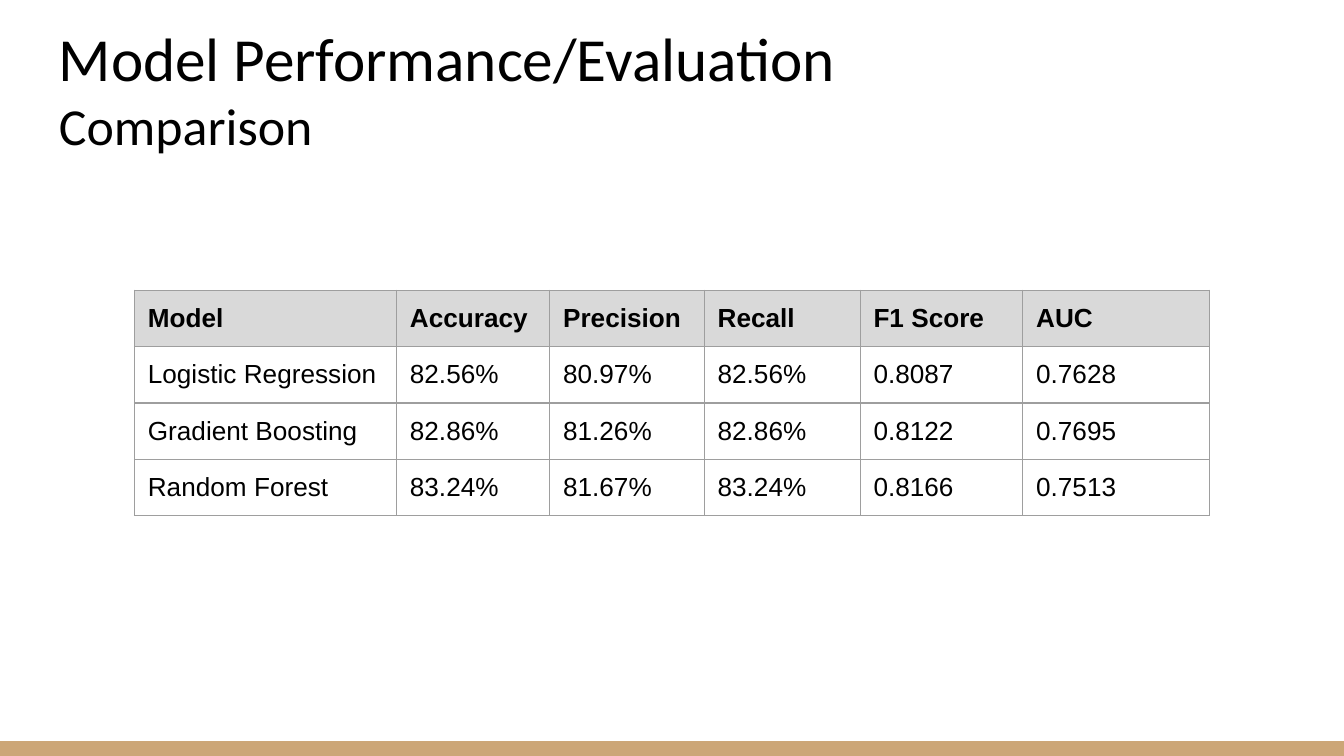
from typing import NamedTuple

from lxml.etree import SubElement
from pptx import Presentation
from pptx.dml.color import RGBColor
from pptx.enum.shapes import MSO_SHAPE as Shape
from pptx.enum.text import MSO_ANCHOR as Anchor
from pptx.oxml.ns import qn
from pptx.util import Inches, Pt

COLORS = {
    "text": "000000",
    "footer": "CCA677",
    "header": "D9D9D9",
    "border": "9E9E9E",
}
SLIDE_WIDTH = Inches(10)
SLIDE_HEIGHT = SLIDE_WIDTH * 9 // 16
FOOTER_HEIGHT = Inches(0.11)
INSET = Inches(0.1)
ROW_HEIGHT = Inches(0.42)
BORDER_WIDTH = Pt(0.75)


class TextStyle(NamedTuple):
    font: str
    size: float
    bold: bool = False


class Column(NamedTuple):
    heading: str
    width: float
    values: tuple[str, ...]


TITLE_LINES = (
    ("Model Performance/Evaluation", TextStyle("Calibri", 32.8)),
    ("Comparison", TextStyle("Calibri", 27.8)),
)
HEADER_STYLE = TextStyle("Arial", 14, bold=True)
BODY_STYLE = TextStyle("Arial", 14)
COLUMNS = (
    Column("Model", 1.95, ("Logistic Regression", "Gradient Boosting", "Random Forest")),
    Column("Accuracy", 1.14, ("82.56%", "82.86%", "83.24%")),
    Column("Precision", 1.15, ("80.97%", "81.26%", "81.67%")),
    Column("Recall", 1.16, ("82.56%", "82.86%", "83.24%")),
    Column("F1 Score", 1.21, ("0.8087", "0.8122", "0.8166")),
    Column("AUC", 1.39, ("0.7628", "0.7695", "0.7513")),
)


def color(name: str) -> RGBColor:
    return RGBColor.from_string(COLORS[name])


def add_run(paragraph, text: str, style: TextStyle) -> None:
    run = paragraph.add_run()
    run.text = text
    run.font.name = style.font
    run.font.size = Pt(style.size)
    run.font.bold = style.bold
    run.font.color.rgb = color("text")


def set_insets(target, bottom: int = INSET) -> None:
    target.margin_left = target.margin_right = target.margin_top = INSET
    target.margin_bottom = bottom


def add_footer(slide) -> None:
    bar = slide.shapes.add_shape(
        Shape.RECTANGLE, 0, SLIDE_HEIGHT - FOOTER_HEIGHT, SLIDE_WIDTH, FOOTER_HEIGHT)
    bar.shadow.inherit = False
    bar.fill.solid()
    bar.fill.fore_color.rgb = color("footer")
    bar.line.fill.background()


def add_title(slide) -> None:
    box = slide.shapes.add_textbox(
        Inches(0.34), Inches(0.35), Inches(9.32), Inches(0.91))
    frame = box.text_frame
    frame.word_wrap = True
    frame.vertical_anchor = Anchor.BOTTOM
    set_insets(frame)
    for index, (text, style) in enumerate(TITLE_LINES):
        paragraph = frame.add_paragraph() if index else frame.paragraphs[0]
        add_run(paragraph, text, style)


def add_borders(cell) -> None:
    properties = cell._tc.get_or_add_tcPr()
    for position, side in enumerate(("lnL", "lnR", "lnT", "lnB")):
        line = properties.makeelement(qn(f"a:{side}"), {"w": str(int(BORDER_WIDTH))})
        fill = SubElement(line, qn("a:solidFill"))
        SubElement(fill, qn("a:srgbClr"), val=COLORS["border"])
        # Border lines come before the cell fill in the schema
        properties.insert(position, line)


def fill_cell(cell, text: str, is_header: bool) -> None:
    # A smaller bottom inset keeps the text within the row height
    set_insets(cell, bottom=Inches(0.08))
    add_run(cell.text_frame.paragraphs[0], text,
            HEADER_STYLE if is_header else BODY_STYLE)
    if is_header:
        cell.fill.solid()
        cell.fill.fore_color.rgb = color("header")
    else:
        cell.fill.background()
    add_borders(cell)


def add_metrics_table(slide) -> None:
    row_count = 1 + len(COLUMNS[0].values)
    total_width = Inches(sum(column.width for column in COLUMNS))
    table = slide.shapes.add_table(
        row_count, len(COLUMNS), Inches(1), Inches(2.16),
        total_width, ROW_HEIGHT * row_count).table
    table.horz_banding = False
    for row in table.rows:
        row.height = ROW_HEIGHT
    for column_index, column in enumerate(COLUMNS):
        table.columns[column_index].width = Inches(column.width)
        for row_index, text in enumerate((column.heading, *column.values)):
            fill_cell(table.cell(row_index, column_index), text, row_index == 0)


def main() -> None:
    presentation = Presentation()
    presentation.slide_width = SLIDE_WIDTH
    presentation.slide_height = SLIDE_HEIGHT
    slide = presentation.slides.add_slide(presentation.slide_layouts[6])

    # Footer band, heading, then the model comparison
    add_footer(slide)
    add_title(slide)
    add_metrics_table(slide)
    presentation.save("out.pptx")


if __name__ == "__main__":
    main()
